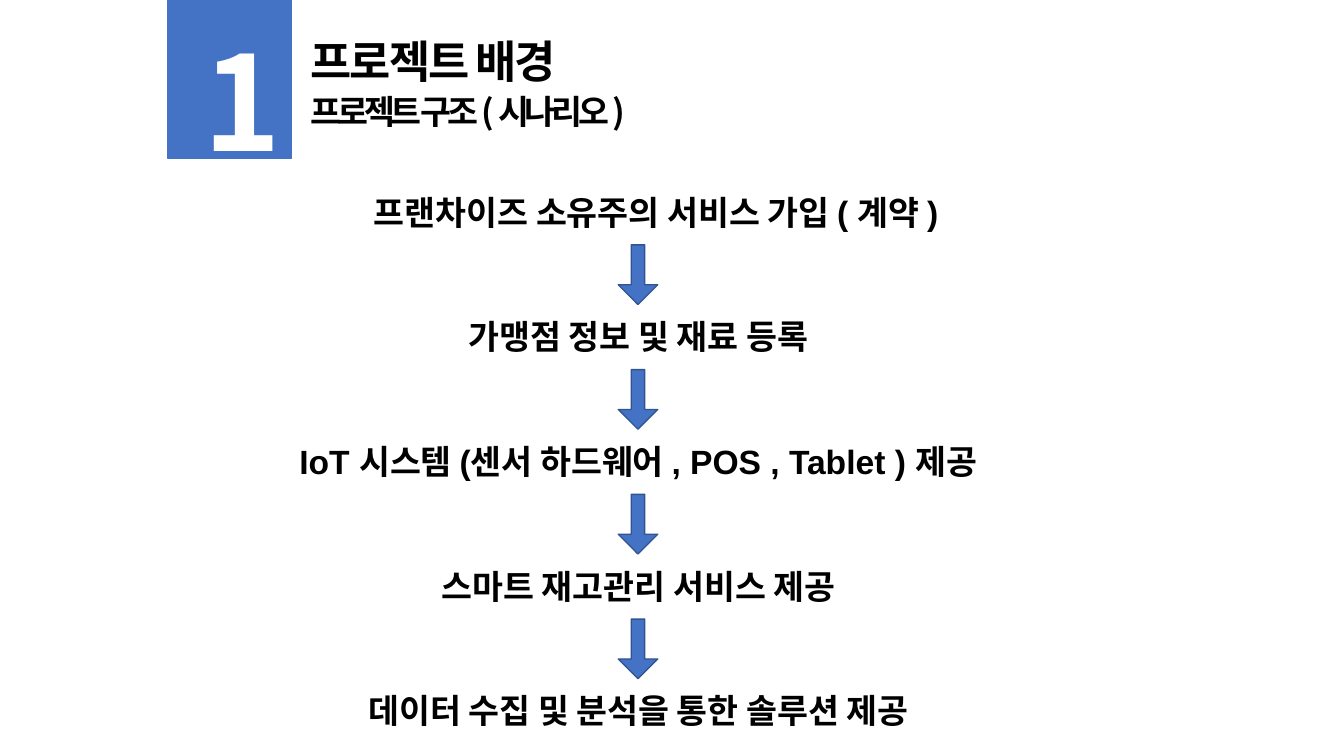
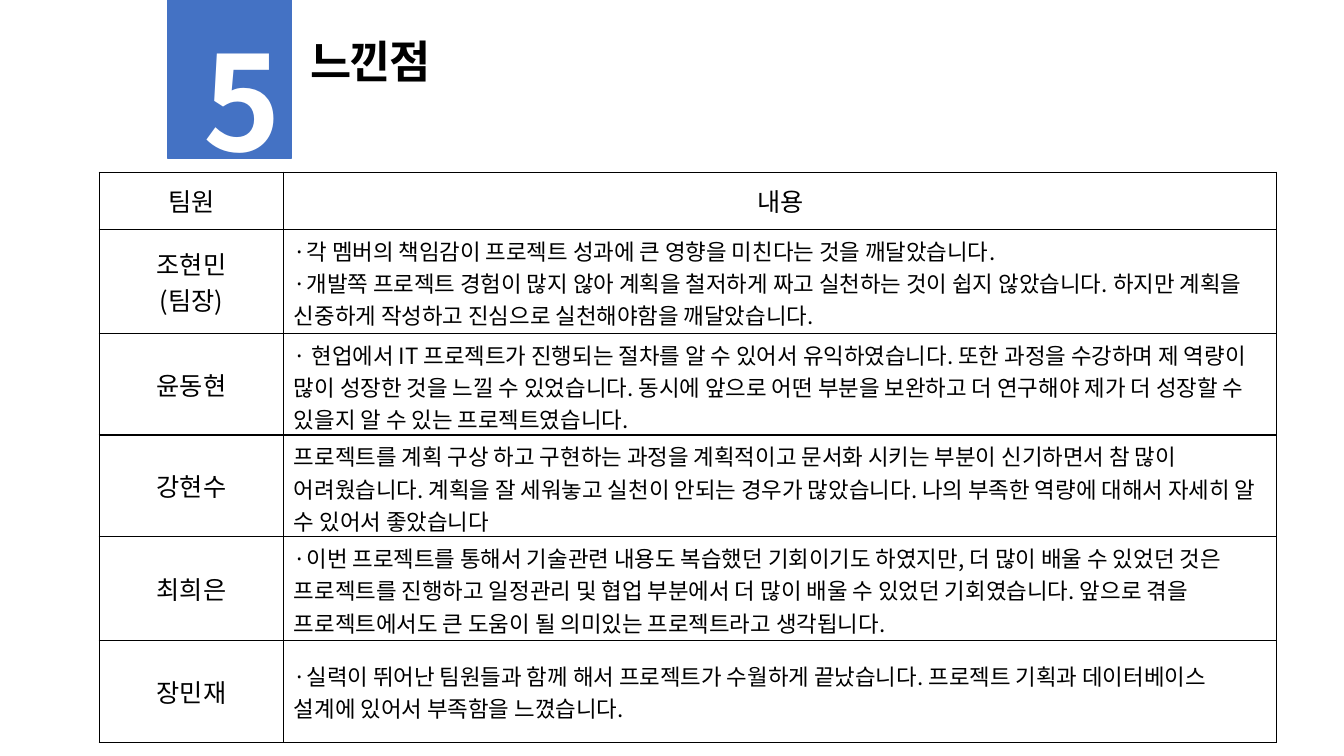
"""Build two project slides: a scenario flow and a table of team reflections."""
from dataclasses import dataclass

from lxml import etree
from pptx import Presentation
from pptx.dml.color import RGBColor
from pptx.enum.shapes import MSO_SHAPE
from pptx.enum.text import MSO_ANCHOR, MSO_AUTO_SIZE, PP_ALIGN
from pptx.oxml.ns import qn
from pptx.presentation import Presentation as Deck
from pptx.shapes.autoshape import Shape
from pptx.slide import Slide
from pptx.table import _Cell
from pptx.text.text import TextFrame
from pptx.util import Inches, Pt

RECTANGLE, DOWN_ARROW = MSO_SHAPE.RECTANGLE, MSO_SHAPE.DOWN_ARROW
LEFT, CENTER = PP_ALIGN.LEFT, PP_ALIGN.CENTER
TOP, MIDDLE = MSO_ANCHOR.TOP, MSO_ANCHOR.MIDDLE
GROW = MSO_AUTO_SIZE.SHAPE_TO_FIT_TEXT

COLORS = {"blue": "4472C4", "outline": "325491", "black": "000000", "white": "FFFFFF"}
KOREAN_FONT = "Noto Sans CJK KR"
SLIDE_WIDTH, SLIDE_HEIGHT = Inches(13.33), Inches(7.5)
GRID_COLUMNS, GRID_ROWS = 160, 90
TITLE_ONLY = 5


@dataclass(frozen=True)
class Box:
    """A place on the slide in grid columns and rows."""
    left: float
    top: float
    width: float
    height: float

    def lengths(self) -> tuple[int, int, int, int]:
        """Return left, top, width and height as slide lengths."""
        return across(self.left), down(self.top), across(self.width), down(self.height)


@dataclass(frozen=True)
class Style:
    """The look of a run of text."""
    size: int
    color: str = "black"
    bold: bool = False
    font: str = KOREAN_FONT
    spacing: int = 0
    alignment: PP_ALIGN = LEFT


@dataclass(frozen=True)
class Step:
    """One step of the scenario and the column it is centred on."""
    text: str
    center: float = 76


@dataclass(frozen=True)
class Reflection:
    """One table row: a member and the paragraphs they wrote."""
    member: str
    paragraphs: tuple[str, ...]
    height: float


TITLE = Style(32, bold=True, spacing=-150)
NUMBER = Style(94, "white", True)
SUBTITLE = Style(24, bold=True, spacing=-300)
STEP = Style(24, bold=True, font="Arial", alignment=CENTER)
MEMBER = Style(18, alignment=CENTER)
OPINION = Style(16)

BAND_BOX = Box(20, 0, 14.65, 18.85)
TITLE_BOX = Box(35.8, 3.36, 100, 7.7)
NUMBER_BOX = Box(23, 1.8, 14, 20.2)
SUBTITLE_BOX = Box(35.8, 9.36, 48.2, 6.8)
STEP_TOP, STEP_PITCH, STEP_WIDTH, STEP_HEIGHT = 22.2, 14.85, 103.2, 6
ARROW_LEFT, ARROW_DROP, ARROW_WIDTH, ARROW_HEIGHT = 73.6, 6.95, 4.7, 7.1
TABLE_LEFT, TABLE_TOP, TABLE_COLUMNS = 11.8, 20.5, (22, 118.2)

STEPS = (
    Step("프랜차이즈 소유주의 서비스 가입 ( 계약 )", 78.1),
    Step("가맹점 정보 및 재료 등록"),
    Step("IoT 시스템 (센서 하드웨어 , POS , Tablet ) 제공"),
    Step("스마트 재고관리 서비스 제공"),
    Step("데이터 수집 및 분석을 통한 솔루션 제공"),
)

HEADER = Reflection("팀원", ("내용",), 6.8)
REFLECTIONS = (
    Reflection("조현민\n(팀장)", (
        "·각 멤버의 책임감이 프로젝트 성과에 큰 영향을 미친다는 것을 깨달았습니다.",
        "·개발쪽 프로젝트 경험이 많지 않아 계획을 철저하게 짜고 실천하는 것이 쉽지 않았습니다. "
        "하지만 계획을 신중하게 작성하고 진심으로 실천해야함을 깨달았습니다."), 12.4),
    Reflection("윤동현", (
        "· 현업에서 IT 프로젝트가 진행되는 절차를 알 수 있어서 유익하였습니다. 또한 과정을 수강하며 "
        "제 역량이 많이 성장한 것을 느낄 수 있었습니다. 동시에 앞으로 어떤 부분을 보완하고 더 "
        "연구해야 제가 더 성장할 수 있을지 알 수 있는 프로젝트였습니다.",), 12.1),
    Reflection("강현수", (
        "프로젝트를 계획 구상 하고 구현하는 과정을 계획적이고 문서화 시키는 부분이 신기하면서 참 많이 "
        "어려웠습니다. 계획을 잘 세워놓고 실천이 안되는 경우가 많았습니다. 나의 부족한 역량에 "
        "대해서 자세히 알 수 있어서 좋았습니다",), 12.1),
    Reflection("최희은", (
        "·이번 프로젝트를 통해서 기술관련 내용도 복습했던 기회이기도 하였지만, 더 많이 배울 수 있었던 "
        "것은 프로젝트를 진행하고 일정관리 및 협업 부분에서 더 많이 배울 수 있었던 기회였습니다. "
        "앞으로 겪을 프로젝트에서도 큰 도움이 될 의미있는 프로젝트라고 생각됩니다.",), 12.4),
    Reflection("장민재", (
        "·실력이 뛰어난 팀원들과 함께 해서 프로젝트가 수월하게 끝났습니다. 프로젝트 기획과 "
        "데이터베이스 설계에 있어서 부족함을 느꼈습니다.",), 12.1),
)


def across(columns: float) -> int:
    """Turn grid columns into a length."""
    return round(SLIDE_WIDTH * columns / GRID_COLUMNS)


def down(rows: float) -> int:
    """Turn grid rows into a length."""
    return round(SLIDE_HEIGHT * rows / GRID_ROWS)


def rgb(name: str) -> RGBColor:
    """Look up a named colour."""
    return RGBColor.from_string(COLORS[name])


def write(frame: TextFrame, paragraphs: tuple[str, ...], style: Style) -> None:
    """Fill a text frame with paragraphs in one style."""
    formats = {"size": Pt(style.size), "bold": style.bold, "name": style.font}
    for index, text in enumerate(paragraphs):
        paragraph = frame.add_paragraph() if index else frame.paragraphs[0]
        paragraph.text = text
        paragraph.alignment = style.alignment
        for run in paragraph.runs:
            for name, value in formats.items():
                setattr(run.font, name, value)
            run.font.color.rgb = rgb(style.color)
            properties = run._r.get_or_add_rPr()
            if style.spacing:
                properties.set("spc", str(style.spacing))
            etree.SubElement(properties, qn("a:ea")).set("typeface", KOREAN_FONT)


def fit_text(shape: Shape, text: str, style: Style, margin_top: float = 0.05) -> None:
    """Write wrapped text at the top of a shape that grows with it."""
    formats = {"word_wrap": True, "auto_size": GROW, "vertical_anchor": TOP,
               "margin_top": Inches(margin_top)}
    for name, value in formats.items():
        setattr(shape.text_frame, name, value)
    write(shape.text_frame, (text,), style)


def add_text(slide: Slide, box: Box, text: str, style: Style, margin_top: float = 0.05) -> None:
    """Add a text box."""
    fit_text(slide.shapes.add_textbox(*box.lengths()), text, style, margin_top)


def add_block(slide: Slide, kind: MSO_SHAPE, box: Box, outline: str) -> Shape:
    """Add a flat blue shape."""
    shape = slide.shapes.add_shape(kind, *box.lengths())
    shape.shadow.inherit = False
    shape.fill.solid()
    shape.fill.fore_color.rgb = rgb("blue")
    shape.line.color.rgb = rgb(outline)
    shape.line.width = Pt(1)
    return shape


def add_section(presentation: Deck, number: str, title: str) -> Slide:
    """Add a slide with the numbered band and title."""
    slide = presentation.slides.add_slide(presentation.slide_layouts[TITLE_ONLY])
    add_block(slide, RECTANGLE, BAND_BOX, "blue")
    heading = slide.shapes.title
    heading.left, heading.top, heading.width, heading.height = TITLE_BOX.lengths()
    fit_text(heading, title, TITLE)
    add_text(slide, NUMBER_BOX, number, NUMBER)
    return slide


def add_flow(slide: Slide) -> None:
    """Draw the scenario steps with an arrow between each pair."""
    for index, step in enumerate(STEPS):
        top = STEP_TOP + index * STEP_PITCH
        box = Box(step.center - STEP_WIDTH / 2, top, STEP_WIDTH, STEP_HEIGHT)
        add_text(slide, box, step.text, STEP)
        if index < len(STEPS) - 1:
            arrow_box = Box(ARROW_LEFT, top + ARROW_DROP, ARROW_WIDTH, ARROW_HEIGHT)
            arrow = add_block(slide, DOWN_ARROW, arrow_box, "outline")
            arrow.adjustments[0] = 0.34


def format_cell(cell: _Cell, paragraphs: tuple[str, ...], style: Style) -> None:
    """Fill a table cell and give it thin black borders."""
    cell.vertical_anchor = MIDDLE
    write(cell.text_frame, paragraphs, style)
    properties = cell._tc.get_or_add_tcPr()
    for side in ("a:lnL", "a:lnR", "a:lnT", "a:lnB"):
        border = etree.SubElement(properties, qn(side), w=str(Pt(1)))
        fill = etree.SubElement(border, qn("a:solidFill"))
        etree.SubElement(fill, qn("a:srgbClr"), val=COLORS["black"])
    cell.fill.background()


def add_reflections(slide: Slide) -> None:
    """Draw the table of team reflections."""
    entries = (HEADER, *REFLECTIONS)
    box = Box(TABLE_LEFT, TABLE_TOP, sum(TABLE_COLUMNS), sum(entry.height for entry in entries))
    table = slide.shapes.add_table(len(entries), len(TABLE_COLUMNS), *box.lengths()).table
    table.first_row = table.horz_banding = False
    for column, width in zip(table.columns, TABLE_COLUMNS):
        column.width = across(width)
    for row, entry in zip(table.rows, entries):
        row.height = down(entry.height)
        format_cell(row.cells[0], (entry.member,), MEMBER)
        format_cell(row.cells[1], entry.paragraphs, MEMBER if entry is HEADER else OPINION)


def main() -> None:
    """Build and save the presentation."""
    presentation = Presentation()
    presentation.slide_width, presentation.slide_height = SLIDE_WIDTH, SLIDE_HEIGHT
    scenario = add_section(presentation, "1", "프로젝트 배경")
    add_text(scenario, SUBTITLE_BOX, "프로젝트 구조 ( 시나리오 )", SUBTITLE, 0.12)
    add_flow(scenario)
    add_reflections(add_section(presentation, "5", "느낀점"))
    presentation.save("out.pptx")


if __name__ == "__main__":
    main()
